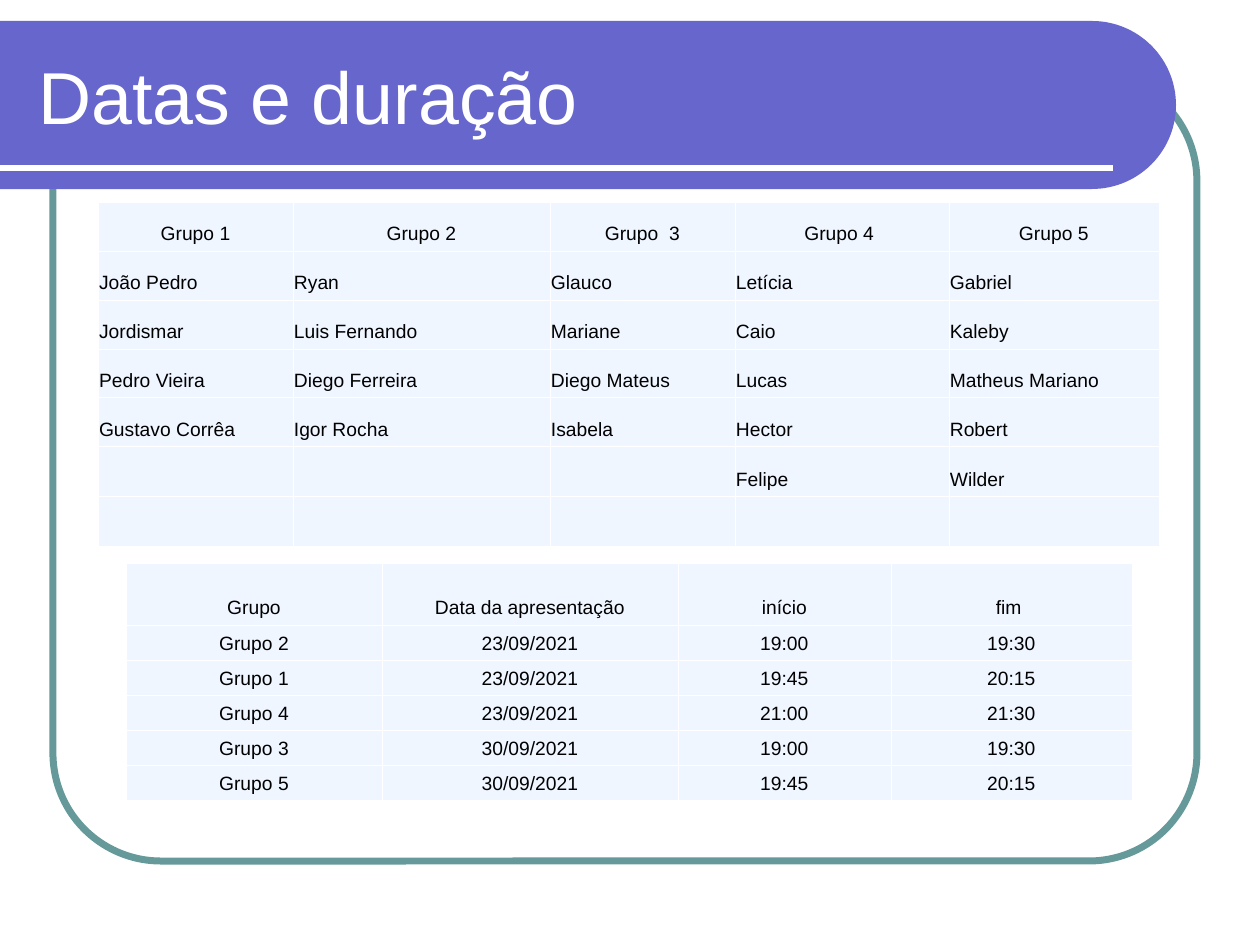
import math
from dataclasses import dataclass

from lxml import etree
from pptx import Presentation
from pptx.dml.color import RGBColor
from pptx.enum.shapes import MSO_CONNECTOR, MSO_SHAPE
from pptx.enum.text import MSO_ANCHOR, PP_ALIGN
from pptx.oxml.ns import qn
from pptx.util import Pt

ROUNDED = MSO_SHAPE.ROUNDED_RECTANGLE
STRAIGHT = MSO_CONNECTOR.STRAIGHT
MIDDLE, BOTTOM = MSO_ANCHOR.MIDDLE, MSO_ANCHOR.BOTTOM
LEFT, CENTER = PP_ALIGN.LEFT, PP_ALIGN.CENTER
EMU_PER_PX = 914400 / 126


@dataclass(frozen=True)
class Theme:
    font: str = "Arial"
    white: str = "FFFFFF"
    text: str = "000000"
    banner: str = "6666CC"
    frame: str = "669999"
    cell: str = "EFF6FF"
    title_size: float = 42
    table_size: float = 11
    frame_width: float = 4
    rule_width: float = 3
    border_width: float = 0.45


THEME = Theme()

GROUPS = [
    ["Grupo 1", "Grupo 2", "Grupo  3", "Grupo 4 ", "Grupo 5"],
    ["João Pedro", "Ryan", "Glauco", "Letícia", "Gabriel"],
    ["Jordismar", "Luis Fernando", "Mariane", "Caio", "Kaleby"],
    ["Pedro Vieira", "Diego Ferreira", "Diego Mateus", "Lucas", "Matheus Mariano"],
    ["Gustavo Corrêa", "Igor Rocha", "Isabela", "Hector", "Robert"],
    ["", "", "", "Felipe", "Wilder"],
    ["", "", "", "", ""],
]
SCHEDULE = [
    ["Grupo", "Data da apresentação", "início", "fim "],
    ["Grupo 2", "23/09/2021", "19:00", "19:30"],
    ["Grupo 1", "23/09/2021", "19:45", "20:15"],
    ["Grupo 4", "23/09/2021", "21:00", "21:30"],
    ["Grupo 3", "30/09/2021", "19:00", "19:30"],
    ["Grupo 5", "30/09/2021", "19:45", "20:15"],
]


def px(length):
    return round(length * EMU_PER_PX)


def rgb(color):
    return RGBColor.from_string(color)


def format_text(paragraph, size, color):
    for run in paragraph.runs:
        run.font.name = THEME.font
        run.font.size = Pt(size)
        run.font.color.rgb = rgb(color)


def add_frame(slide, left, top, width, height):
    frame = slide.shapes.add_shape(ROUNDED, px(left), px(top), px(width), px(height))
    frame.adjustments[0] = 0.137
    frame.shadow.inherit = False
    frame.fill.background()
    frame.line.color.rgb = rgb(THEME.frame)
    frame.line.width = Pt(THEME.frame_width)


def add_banner(slide, left, top, width, height):
    # Band with a half-round right end
    radius = height / 2
    center_x, center_y = left + width - radius, top + radius
    angles = [math.radians(degree) for degree in range(-90, 91, 3)]
    outline = [(px(center_x + radius * math.cos(angle)),
                px(center_y + radius * math.sin(angle))) for angle in angles]
    builder = slide.shapes.build_freeform(px(left), px(top))
    builder.add_line_segments(outline + [(px(left), px(top + height))], close=True)
    band = builder.convert_to_shape()
    band.shadow.inherit = False
    band.fill.solid()
    band.fill.fore_color.rgb = rgb(THEME.banner)
    band.line.fill.background()

    # Rule under the title
    rule_y = px(top + height - 21)
    rule = slide.shapes.add_connector(
        STRAIGHT, px(left), rule_y, px(left + width - 63), rule_y)
    rule.line.color.rgb = rgb(THEME.white)
    rule.line.width = Pt(THEME.rule_width)
    etree.SubElement(rule._element.spPr, qn("a:effectLst"))

    # Title
    title = slide.shapes.add_textbox(
        px(left + 26), px(top + 11), px(width - 71), px(height - 42))
    text_frame = title.text_frame
    text_frame.word_wrap = True
    text_frame.vertical_anchor = MIDDLE
    text_frame.text = "Datas e duração"
    format_text(text_frame.paragraphs[0], THEME.title_size, THEME.white)


def add_borders(cell):
    properties = cell._tc.get_or_add_tcPr()
    for side in ("a:lnL", "a:lnR", "a:lnT", "a:lnB"):
        line = etree.SubElement(properties, qn(side), w=str(Pt(THEME.border_width)))
        fill = etree.SubElement(line, qn("a:solidFill"))
        etree.SubElement(fill, qn("a:srgbClr"), val=THEME.white)


def fill_cell(cell, text, alignment):
    cell.margin_left = cell.margin_right = px(1)
    cell.margin_top = cell.margin_bottom = px(6)
    cell.vertical_anchor = BOTTOM
    add_borders(cell)
    cell.fill.solid()
    cell.fill.fore_color.rgb = rgb(THEME.cell)
    if text:
        paragraph = cell.text_frame.paragraphs[0]
        paragraph.text = text
        paragraph.alignment = alignment
        format_text(paragraph, THEME.table_size, THEME.text)


def add_grid(slide, left, top, column_widths, row_heights, rows, body_alignment):
    table = slide.shapes.add_table(
        len(rows), len(column_widths), px(left), px(top),
        px(sum(column_widths)), px(sum(row_heights))).table
    table.first_row = table.horz_banding = False
    for column, width in zip(table.columns, column_widths):
        column.width = px(width)
    for row, height in zip(table.rows, row_heights):
        row.height = px(height)
    for row_index, texts in enumerate(rows):
        alignment = body_alignment if row_index else CENTER
        for column_index, text in enumerate(texts):
            fill_cell(table.cell(row_index, column_index), text, alignment)


def main():
    presentation = Presentation()
    presentation.slide_width, presentation.slide_height = px(1260), px(945)
    slide = presentation.slides.add_slide(presentation.slide_layouts[6])

    # Background decoration and title
    add_frame(slide, 53, 73, 1144, 788)
    add_banner(slide, 0, 21, 1176, 168)

    # Group members, then presentation times
    add_grid(slide, 98, 202, [195, 257, 185, 214, 210], [49] * 7, GROUPS, LEFT)
    add_grid(slide, 126, 563, [256, 296, 213, 241], [62] + [34] * 5, SCHEDULE, CENTER)

    presentation.save("out.pptx")


if __name__ == "__main__":
    main()
